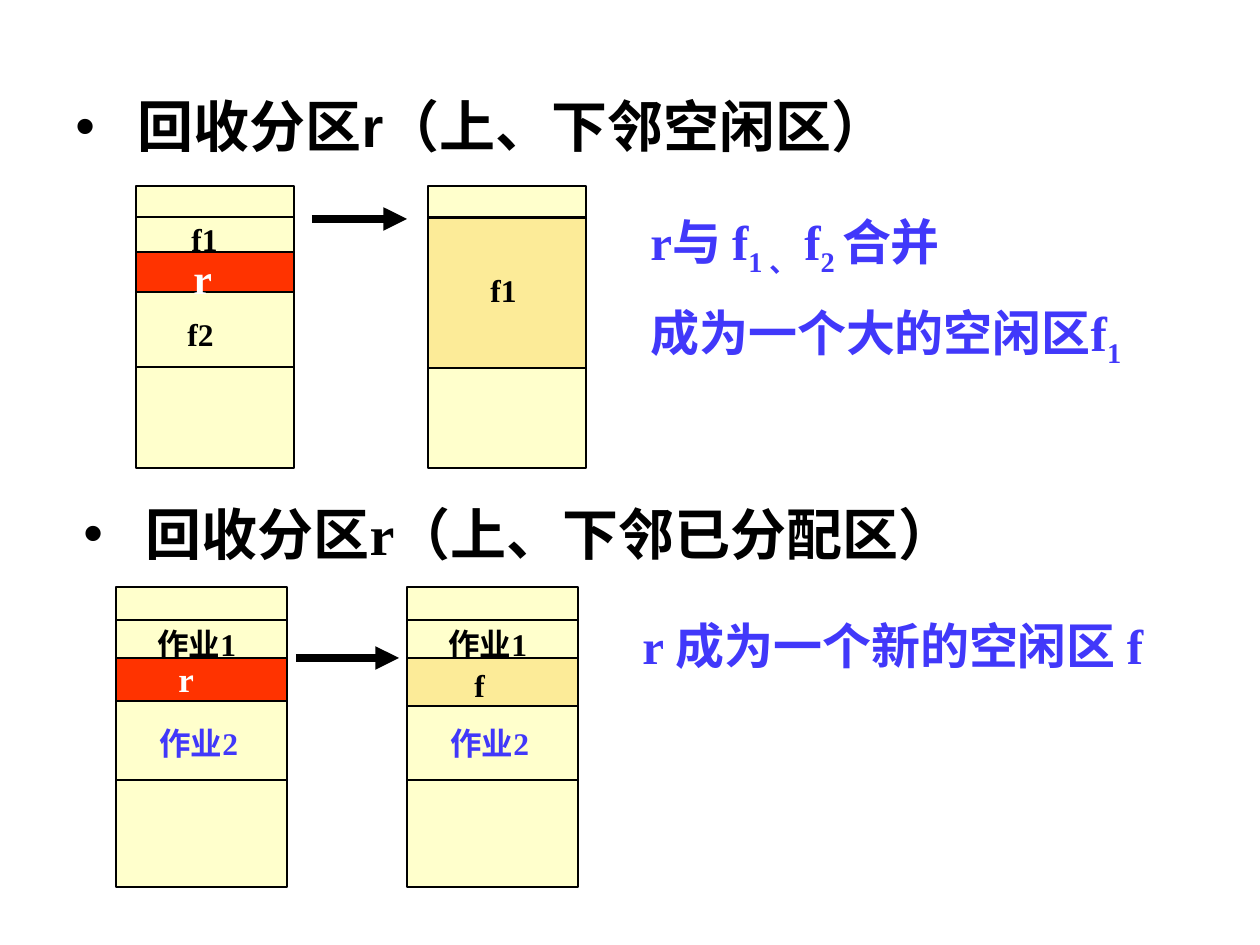
from lxml import etree
from pptx import Presentation
from pptx.dml.color import RGBColor
from pptx.enum.shapes import MSO_CONNECTOR as LINE, MSO_SHAPE as SHAPE
from pptx.oxml.ns import qn
from pptx.util import Emu, Pt

EMU_PER_PX = 914400 / 126
COLORS = {"ink": "000000", "blue": "4138FA", "white": "FFFFFF",
          "memory": "FFFFCC", "recycled": "FF3300", "free": "FCEB98"}
ARIAL, TIMES = "Arial", "Times New Roman"

# Headings: text, font, line spacing, box in px
HEADINGS = [
    ("回收分区r（上、下邻空闲区）", ARIAL, 0.9, (45, 93, 1166, 84)),
    ("回收分区r（上、下邻已分配区）", TIMES, 1.0, (53, 493, 1081, 79)),
]
# Notes: paragraphs of (text, is subscript), box in px
NOTES = [
    ([[("r与 f", False), ("1 、 ", True), ("f", False), ("2 ", True), ("合并", False)],
      [("成为一个大的空闲区f", False), ("1", True)]], (638, 205, 598, 160)),
    ([[("r 成为一个新的空闲区 f", False)]], (630, 609, 609, 72)),
]
# Arrows: start x, end x, y
ARROWS = [(312, 407, 219), (296, 399, 658)]

# Memory columns: label is text, offset from column left, top, width, height, size, colour
JOBS = [("作业1", 29, 619, 137, 50, 18, "ink"),
        ("作业2", 31, 718, 139, 50, 18, "blue")]
UPPER = {"top": 186, "width": 158, "height": 282, "dividers": (217, 367)}
LOWER = {"top": 587, "width": 171, "height": 300, "dividers": (620, 780)}
COLUMNS = [
    {**UPPER, "left": 136, "block": ("recycled", 252, 40),
     "labels": [("r", 45, 246, 63, 63, 24, "white"),
                ("f1", 43, 214, 86, 50, 18, "ink"),
                ("f2", 39, 309, 67, 50, 18, "ink")]},
    {**UPPER, "left": 428, "block": ("free", 218, 150),
     "labels": [("f1", 50, 265, 81, 50, 18, "ink")]},
    {**LOWER, "left": 116, "block": ("recycled", 658, 43),
     "labels": [("r", 50, 651, 68, 54, 20, "white"), *JOBS]},
    {**LOWER, "left": 407, "block": ("free", 658, 48),
     "labels": [("f", 55, 660, 68, 50, 18, "ink"), *JOBS]},
]


def px(value):
    return Emu(round(value * EMU_PER_PX))


def rgb(name):
    return RGBColor.from_string(COLORS[name])


def add_span(para, text, size, color, font=TIMES, subscript=False):
    span = para.add_run()
    span.text = text
    for key, value in {"name": font, "size": Pt(size), "bold": True}.items():
        setattr(span.font, key, value)
    span.font.color.rgb = rgb(color)
    if subscript:
        span.font._element.set("baseline", "-25000")


def add_box(shapes, area):
    box = shapes.add_textbox(*map(px, area))
    box.text_frame.word_wrap = True
    return box.text_frame


def add_bullet(para):
    props = para._p.get_or_add_pPr()
    props.set("marL", str(px(80)))
    props.set("indent", str(-px(62)))
    etree.SubElement(props, qn("a:buFont")).set("typeface", ARIAL)
    etree.SubElement(props, qn("a:buChar")).set("char", "•")


def add_line(shapes, x1, x2, y, width, arrow=False):
    line = shapes.add_connector(LINE.STRAIGHT, px(x1), px(y), px(x2), px(y))
    line.line.color.rgb = rgb("ink")
    line.line.width = Pt(width)
    if arrow:
        etree.SubElement(line.line._get_or_add_ln(), qn("a:tailEnd")).set("type", "triangle")
    etree.SubElement(line._element.spPr, qn("a:effectLst"))


def add_rect(shapes, area, color):
    rect = shapes.add_shape(SHAPE.RECTANGLE, *map(px, area))
    rect.shadow.inherit = False
    rect.fill.solid()
    rect.fill.fore_color.rgb = rgb(color)
    rect.line.color.rgb = rgb("ink")
    rect.line.width = Pt(0.75)


def add_column(page, column):
    shapes = page.shapes.add_group_shape().shapes
    left, width = column["left"], column["width"]
    add_rect(shapes, (left, column["top"], width, column["height"]), "memory")
    for y in column["dividers"]:
        add_line(shapes, left, left + width, y, 0.75)
    color, top, height = column["block"]
    add_rect(shapes, (left, top, width, height), color)
    for text, offset, y, w, h, size, ink in column["labels"]:
        frame = add_box(shapes, (left + offset, y, w, h))
        add_span(frame.paragraphs[0], text, size, ink)


def main():
    deck = Presentation()
    deck.slide_width, deck.slide_height = px(1260), px(945)
    page = deck.slides.add_slide(deck.slide_layouts[6])

    # Bulleted headings
    for text, font, spacing, area in HEADINGS:
        para = add_box(page.shapes, area).paragraphs[0]
        add_bullet(para)
        para.line_spacing = spacing
        add_span(para, text, 32, "ink", font)

    # Blue notes on the right
    for paragraphs, area in NOTES:
        frame = add_box(page.shapes, area)
        for index, spans in enumerate(paragraphs):
            para = frame.add_paragraph() if index else frame.paragraphs[0]
            if index:
                para.space_before = Pt(14)
            for text, subscript in spans:
                add_span(para, text, 28, "blue", subscript=subscript)

    # Arrows between the before and after columns
    for x1, x2, y in ARROWS:
        add_line(page.shapes, x1, x2, y, 4.5, arrow=True)

    # Memory columns
    for column in COLUMNS:
        add_column(page, column)

    deck.save("out.pptx")


if __name__ == "__main__":
    main()
